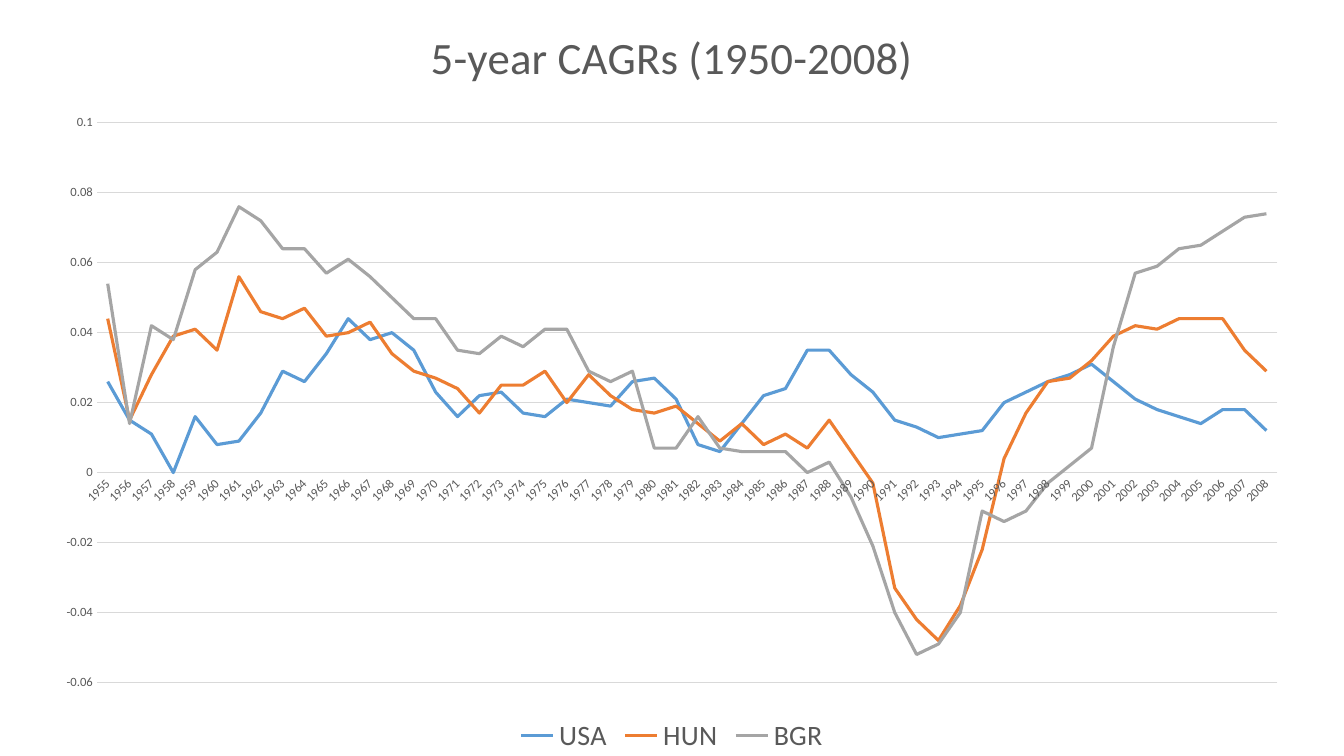
from pptx import Presentation
from pptx.chart.data import CategoryChartData
from pptx.dml.color import RGBColor
from pptx.enum import chart as c
from pptx.oxml import parse_xml
from pptx.oxml import ns
from pptx.util import Pt

FONT = "Calibri"
GRAY_TEXT = RGBColor(0x59, 0x59, 0x59)
GRID = RGBColor(0xD9, 0xD9, 0xD9)
BLUE = RGBColor(0x5B, 0x9B, 0xD5)
ORANGE = RGBColor(0xED, 0x7D, 0x31)
GRAY = RGBColor(0xA5, 0xA5, 0xA5)

YEARS = range(1955, 2009)
GROWTH = {
    "USA": (BLUE, [
        0.026, 0.015, 0.011, 0, 0.016, 0.008, 0.009, 0.017, 0.029, 0.026, 0.034,
        0.044, 0.038, 0.04, 0.035, 0.023, 0.016, 0.022, 0.023, 0.017, 0.016,
        0.021, 0.02, 0.019, 0.026, 0.027, 0.021, 0.008, 0.006, 0.014, 0.022,
        0.024, 0.035, 0.035, 0.028, 0.023, 0.015, 0.013, 0.01, 0.011, 0.012,
        0.02, 0.023, 0.026, 0.028, 0.031, 0.026, 0.021, 0.018, 0.016, 0.014,
        0.018, 0.018, 0.012]),
    "HUN": (ORANGE, [
        0.044, 0.015, 0.028, 0.039, 0.041, 0.035, 0.056, 0.046, 0.044, 0.047,
        0.039, 0.04, 0.043, 0.034, 0.029, 0.027, 0.024, 0.017, 0.025, 0.025,
        0.029, 0.02, 0.028, 0.022, 0.018, 0.017, 0.019, 0.014, 0.009, 0.014,
        0.008, 0.011, 0.007, 0.015, 0.006, -0.003, -0.033, -0.042, -0.048,
        -0.038, -0.022, 0.004, 0.017, 0.026, 0.027, 0.032, 0.039, 0.042, 0.041,
        0.044, 0.044, 0.044, 0.035, 0.029]),
    "BGR": (GRAY, [
        0.054, 0.014, 0.042, 0.038, 0.058, 0.063, 0.076, 0.072, 0.064, 0.064,
        0.057, 0.061, 0.056, 0.05, 0.044, 0.044, 0.035, 0.034, 0.039, 0.036,
        0.041, 0.041, 0.029, 0.026, 0.029, 0.007, 0.007, 0.016, 0.007, 0.006,
        0.006, 0.006, 0, 0.003, -0.007, -0.021, -0.04, -0.052, -0.049, -0.04,
        -0.011, -0.014, -0.011, -0.003, 0.002, 0.007, 0.036, 0.057, 0.059,
        0.064, 0.065, 0.069, 0.073, 0.074]),
}


def format_font(font, size):
    font.name = FONT
    font.size = Pt(size)
    font.bold = False
    font.color.rgb = GRAY_TEXT


def format_line(line, color, width):
    line.color.rgb = color
    line.width = Pt(width)


def add_growth_chart(slide, left, top, width, height):
    data = CategoryChartData(number_format="General")
    data.categories = [str(year) for year in YEARS]
    for country, (_, rates) in GROWTH.items():
        data.add_series(country, rates)
    frame = slide.shapes.add_chart(
        c.XL_CHART_TYPE.LINE, Pt(left), Pt(top), Pt(width), Pt(height), data)
    return frame.chart


def add_title(chart, text, size):
    chart.has_title = True
    title = chart.chart_title
    title.include_in_layout = False
    title.text_frame.text = text
    format_font(title.text_frame.paragraphs[0].runs[0].font, size)


def add_legend(chart, size):
    chart.has_legend = True
    chart.legend.position = c.XL_LEGEND_POSITION.BOTTOM
    chart.legend.include_in_layout = False
    format_font(chart.legend.font, size)


def format_axes(chart):
    years, rates = chart.category_axis, chart.value_axis
    for axis in (years, rates):
        axis.major_tick_mark = axis.minor_tick_mark = c.XL_TICK_MARK.NONE
        format_font(axis.tick_labels.font, 9)
    format_line(years.format.line, GRID, 0.75)
    years.tick_labels.font
    labels = years._element.find(ns.qn("c:txPr"))
    labels.find(ns.qn("a:bodyPr")).set("rot", "-2700000")
    rates.minimum_scale, rates.maximum_scale, rates.major_unit = -0.06, 0.1, 0.02
    rates.format.line.fill.background()
    rates.has_major_gridlines = True
    format_line(rates.major_gridlines.format.line, GRID, 0.75)


def format_series(chart):
    plot = chart.plots[0]
    plot.vary_by_categories = False
    for series, (color, _) in zip(plot.series, GROWTH.values()):
        series.smooth = False
        series.marker.style = c.XL_MARKER_STYLE.NONE
        format_line(series.format.line, color, 2.25)


def place_plot(chart, **fractions):
    plot_area = chart._chartSpace.chart.plotArea
    for layout in plot_area.findall(ns.qn("c:layout")):
        plot_area.remove(layout)
    modes = '<c:layoutTarget val="inner"/><c:xMode val="edge"/><c:yMode val="edge"/>'
    sizes = "".join(f'<c:{key} val="{value}"/>' for key, value in fractions.items())
    plot_area.insert(0, parse_xml(
        f'<c:layout {ns.nsdecls("c")}><c:manualLayout>{modes}{sizes}'
        '</c:manualLayout></c:layout>'))


def main():
    presentation = Presentation()
    presentation.slide_width, presentation.slide_height = Pt(960), Pt(540)
    slide = presentation.slides.add_slide(presentation.slide_layouts[6])
    chart = add_growth_chart(slide, 29.5, -2, 901, 544)
    chart.font.name = FONT
    chart.font.size = Pt(10)
    add_title(chart, "5-year CAGRs (1950-2008)", 32)
    add_legend(chart, 20)
    format_axes(chart)
    format_series(chart)
    place_plot(chart, x=0.044, y=0.165, w=0.936, h=0.735)
    presentation.save("out.pptx")


main()
